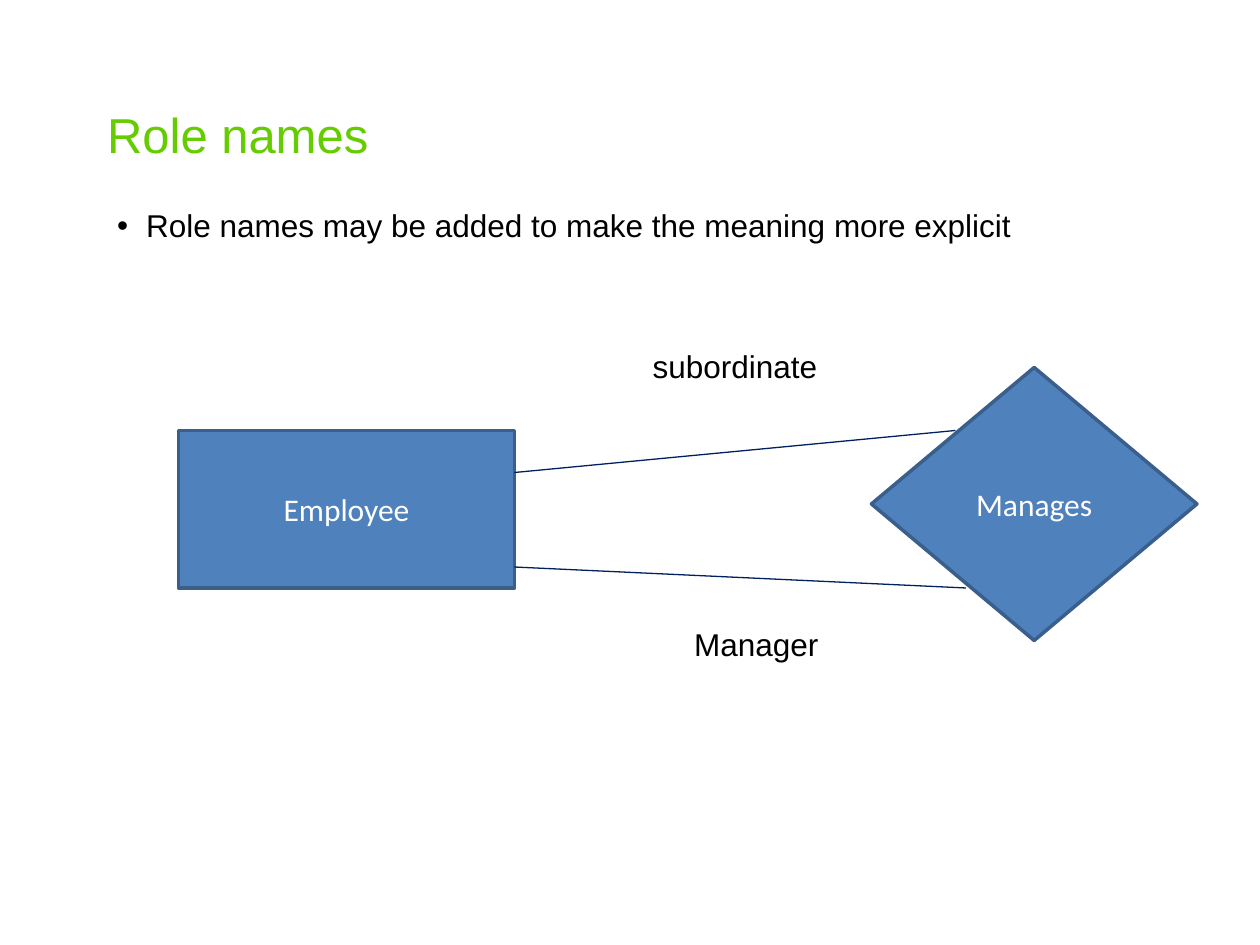
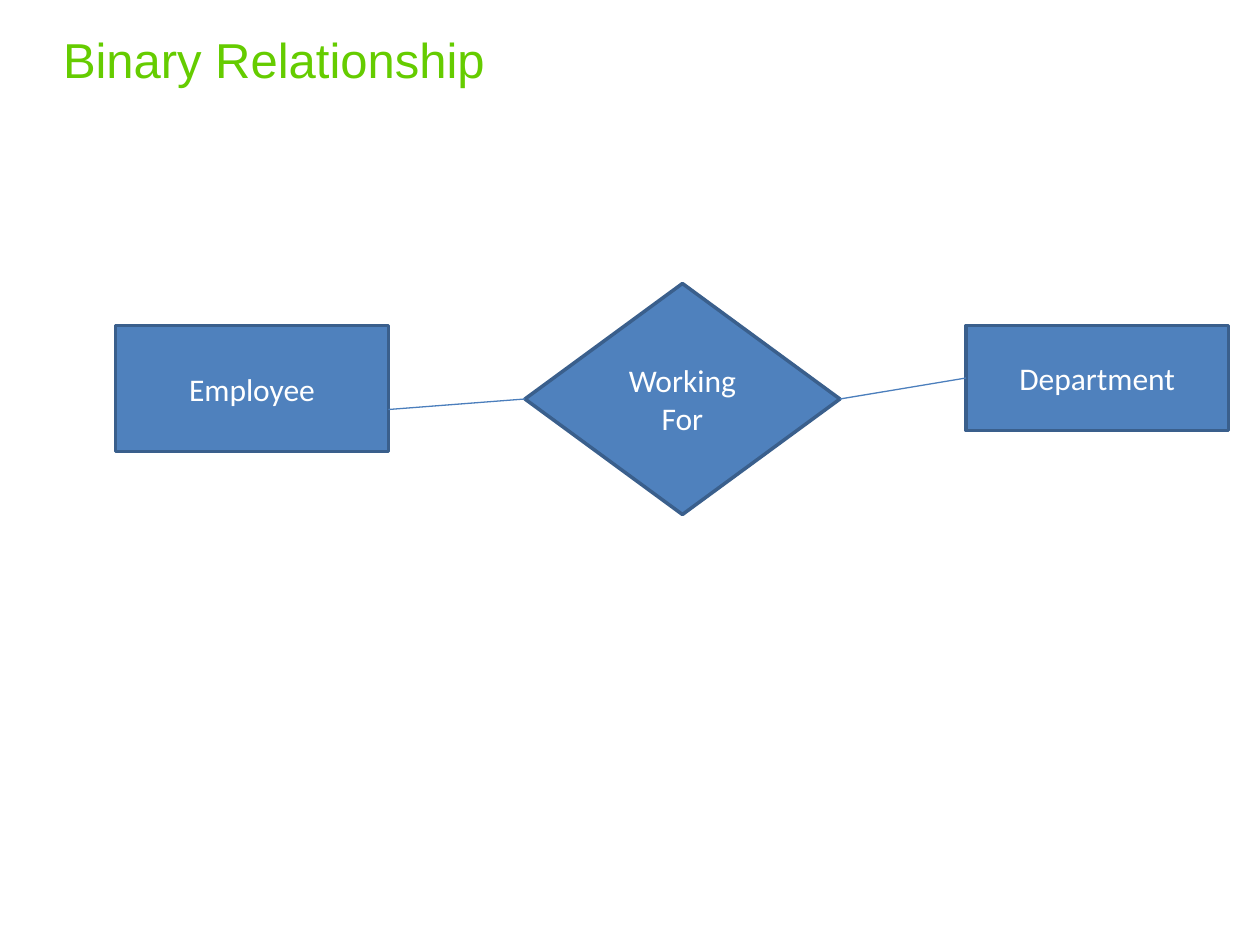
"""Build two entity-relationship slides: role names and a binary relationship."""
from pptx import Presentation
from pptx.dml.color import RGBColor
from pptx.enum.shapes import MSO_CONNECTOR, MSO_SHAPE
from pptx.enum.text import MSO_ANCHOR, MSO_AUTO_SIZE, PP_ALIGN
from pptx.oxml.ns import qn
from pptx.util import Inches, Pt
from lxml import etree

ENTITY, RELATION = MSO_SHAPE.RECTANGLE, MSO_SHAPE.FLOWCHART_DECISION
STRAIGHT = MSO_CONNECTOR.STRAIGHT
TOP, MIDDLE = MSO_ANCHOR.TOP, MSO_ANCHOR.MIDDLE
LEFT, CENTER = PP_ALIGN.LEFT, PP_ALIGN.CENTER
NO_FIT = MSO_AUTO_SIZE.NONE

GREEN, BLACK, WHITE = "65CC00", "000000", "FFFFFF"
BLUE, EDGE, NAVY, LINK = "4F81BD", "3A5F8C", "002060", "4B7EBC"
CELLS_PER_INCH = 12
BULLET_INDENT = 0.23
TITLE_ONLY, TITLE_BODY = 5, 1

SLIDES = [
    {
        "layout": TITLE_BODY,
        "title": ("Role names", (0.85, 0.85, 8.49, 0.9)),
        "bullet": ("Role names may be added to make the meaning more explicit",
                   (0.93, 1.65, 8.42, 0.59)),
        "nodes": [(ENTITY, "Employee", (17, 41, 32, 15)),
                  (RELATION, "Manages", (83, 35, 31, 26))],
        "links": [(49, 45, 91, 41), (49, 54, 92, 56)],
        "link_color": NAVY,
        "roles": [("subordinate", (5.18, 2.77, 4.6, 0.59)),
                  ("Manager", (5.51, 4.97, 4.48, 0.59))],
    },
    {
        "layout": TITLE_ONLY,
        "title": ("Binary Relationship", (0.5, 0.25, 6.65, 0.45)),
        "nodes": [(ENTITY, "Employee", (11, 31, 26, 12)),
                  (RELATION, "Working For", (50, 27, 30, 22)),
                  (ENTITY, "Department", (92, 31, 25, 10))],
        "links": [(37, 39, 50, 38), (80, 38, 92, 36)],
        "link_color": LINK,
    },
]


def rgb(color):
    return RGBColor.from_string(color)


def inches(values):
    return [Inches(v) for v in values]


def grid(cells):
    return [Inches(c / CELLS_PER_INCH) for c in cells]


def style(p, size, font, color, align):
    p.alignment = align
    p.font.size, p.font.name = Pt(size), font
    p.font.color.rgb = rgb(color)


def write_plain(sp, text, box, size=18, color=BLACK):
    sp.left, sp.top, sp.width, sp.height = inches(box)
    tf = sp.text_frame
    tf.text = text
    tf.word_wrap, tf.auto_size, tf.vertical_anchor = True, NO_FIT, TOP
    tf.margin_left = tf.margin_right = tf.margin_top = tf.margin_bottom = 0
    p = tf.paragraphs[0]
    style(p, size, "Arial", color, LEFT)
    p.line_spacing, p.space_before = Pt(size * 1.15), Pt(0)
    return p


def add_bullet(p):
    pPr = p._p.get_or_add_pPr()
    indent = Inches(BULLET_INDENT)
    pPr.set("marL", str(indent))
    pPr.set("indent", str(-indent))


def add_node(s, kind, text, cells):
    sp = s.shapes.add_shape(kind, *grid(cells))
    sp.shadow.inherit = False
    sp.fill.solid()
    sp.fill.fore_color.rgb = rgb(BLUE)
    sp.line.color.rgb, sp.line.width = rgb(EDGE), Pt(2)
    tf = sp.text_frame
    tf.text = text
    tf.word_wrap, tf.vertical_anchor = True, MIDDLE
    style(tf.paragraphs[0], 18, "Calibri", WHITE, CENTER)


def add_link(s, ends, color):
    line = s.shapes.add_connector(STRAIGHT, *grid(ends))
    line.line.color.rgb, line.line.width = rgb(color), Pt(0.75)
    etree.SubElement(line._element.spPr, qn("a:effectLst"))


def build_slide(prs, content):
    s = prs.slides.add_slide(prs.slide_layouts[content["layout"]])
    write_plain(s.shapes.title, *content["title"], size=28, color=GREEN)
    if "bullet" in content:
        add_bullet(write_plain(s.placeholders[1], *content["bullet"]))
    for node in content["nodes"]:
        add_node(s, *node)
    for ends in content["links"]:
        add_link(s, ends, content["link_color"])
    for text, box in content.get("roles", []):
        write_plain(s.shapes.add_textbox(*inches(box)), text, box)


def main():
    prs = Presentation()
    prs.slide_width, prs.slide_height = Inches(10), Inches(7.5)
    for content in SLIDES:
        build_slide(prs, content)
    prs.save("out.pptx")


if __name__ == "__main__":
    main()
